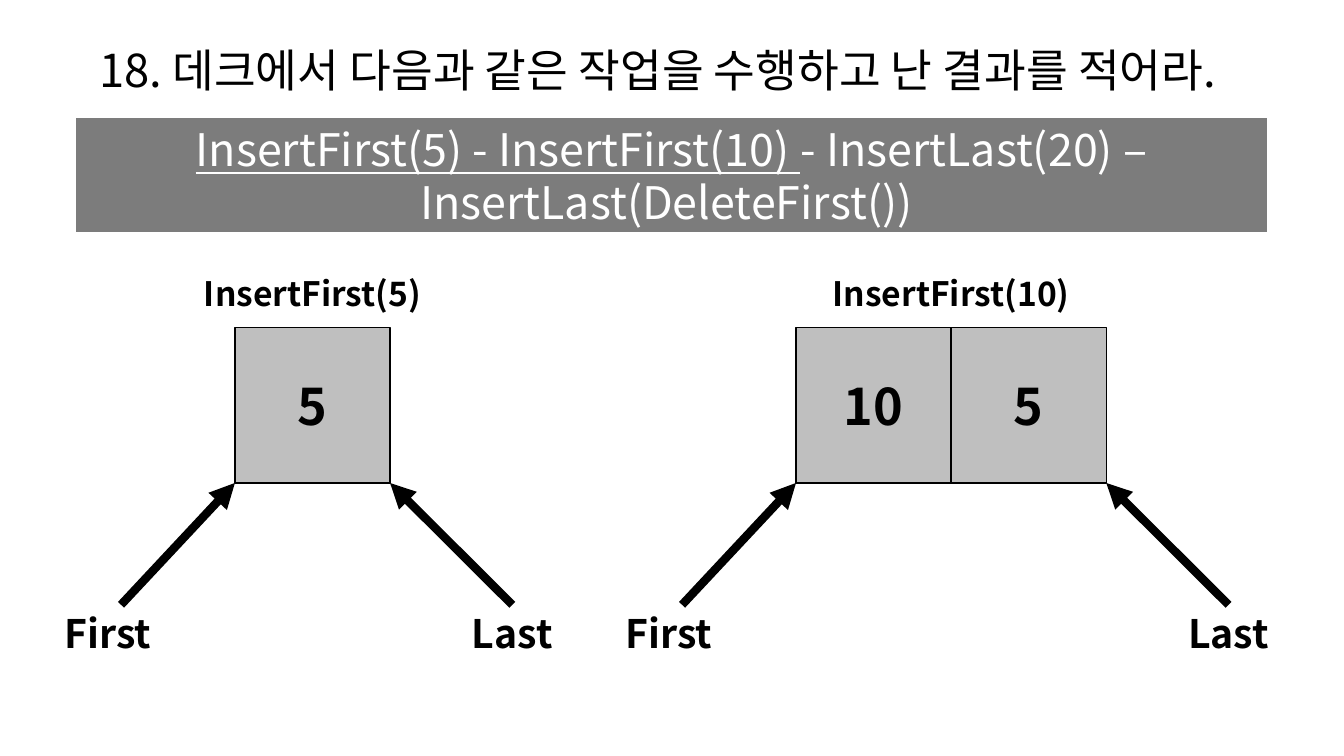
from dataclasses import dataclass

from lxml import etree
from pptx import Presentation
from pptx.dml.color import RGBColor
from pptx.enum.shapes import MSO_CONNECTOR, MSO_SHAPE
from pptx.enum.text import MSO_ANCHOR, PP_ALIGN
from pptx.oxml.ns import qn
from pptx.util import Cm, Pt

CENTER = PP_ALIGN.CENTER
TOP, MIDDLE = MSO_ANCHOR.TOP, MSO_ANCHOR.MIDDLE
RECTANGLE = MSO_SHAPE.RECTANGLE
STRAIGHT = MSO_CONNECTOR.STRAIGHT

FONT = "Noto Sans CJK KR"
COLORS = {"ink": "000000", "paper": "FFFFFF", "banner": "7C7C7C", "cell": "BFBFBF"}

# Shared measures in centimetres
CELL_SIZE = 3.91
CELL_TOP = 8.26
CELL_BOTTOM = CELL_TOP + CELL_SIZE
POINTER_TOP = 15.24
POINTER_WIDTH = 4.98
CAPTION_WIDTH = 9.04


@dataclass
class Deque:
    caption: str
    left: float
    values: list[str]


@dataclass
class Pointer:
    name: str
    at_end: bool
    tail_offset: float
    label_offset: float


DEQUES = [
    Deque("InsertFirst(5)", 5.92, ["5"]),
    Deque("InsertFirst(10)", 20.06, ["10", "5"]),
]
POINTERS = [
    Pointer("First", False, -2.87, -3.2),
    Pointer("Last", True, 3.08, 3.08),
]


def color(name: str) -> RGBColor:
    return RGBColor.from_string(COLORS[name])


def format_run(run, size: float, ink: str, bold: bool = False) -> None:
    font = run.font
    font.size = Pt(size)
    font.bold = bold
    font.color.rgb = color(ink)
    font.name = FONT
    east_asian = etree.SubElement(run._r.get_or_add_rPr(), qn("a:ea"))
    east_asian.set("typeface", FONT)


def write(shape, text: str, size: float, ink: str = "ink",
          bold: bool = False, anchor=MIDDLE):
    text_frame = shape.text_frame
    text_frame.text = text
    text_frame.word_wrap = True
    text_frame.vertical_anchor = anchor
    paragraph = text_frame.paragraphs[0]
    paragraph.alignment = CENTER
    format_run(paragraph.runs[0], size, ink, bold)
    return paragraph


def add_text(slide, left: float, top: float, width: float, height: float,
             text: str, size: float, bold: bool = True, anchor=TOP):
    box = slide.shapes.add_textbox(Cm(left), Cm(top), Cm(width), Cm(height))
    return write(box, text, size, bold=bold, anchor=anchor)


def add_rectangle(slide, left: float, top: float, width: float, height: float,
                  fill: str, line: str):
    shape = slide.shapes.add_shape(RECTANGLE, Cm(left), Cm(top), Cm(width), Cm(height))
    shape.shadow.inherit = False
    shape.fill.solid()
    shape.fill.fore_color.rgb = color(fill)
    shape.line.color.rgb = color(line)
    shape.line.width = Pt(1)
    return shape


def add_arrow(slide, start_x: float, start_y: float, end_x: float, end_y: float) -> None:
    connector = slide.shapes.add_connector(
        STRAIGHT, Cm(start_x), Cm(start_y), Cm(end_x), Cm(end_y))
    connector.line.color.rgb = color("ink")
    connector.line.width = Pt(6)
    head = etree.SubElement(connector.line._get_or_add_ln(), qn("a:tailEnd"))
    head.set("type", "triangle")
    etree.SubElement(connector._element.spPr, qn("a:effectLst"))


def draw_deque(slide, deque: Deque) -> None:
    width = CELL_SIZE * len(deque.values)
    center = deque.left + width / 2
    add_text(slide, center - CAPTION_WIDTH / 2, 6.76, CAPTION_WIDTH, 1.27,
             deque.caption, 24)

    for index, value in enumerate(deque.values):
        cell = add_rectangle(slide, deque.left + index * CELL_SIZE, CELL_TOP,
                             CELL_SIZE, CELL_SIZE, "cell", "ink")
        write(cell, value, 36, bold=True)

    for pointer in POINTERS:
        corner = deque.left + (width if pointer.at_end else 0)
        add_arrow(slide, corner + pointer.tail_offset, POINTER_TOP, corner, CELL_BOTTOM)
        add_text(slide, corner + pointer.label_offset - POINTER_WIDTH / 2, POINTER_TOP,
                 POINTER_WIDTH, 1.45, pointer.name, 28)


def main() -> None:
    presentation = Presentation()
    presentation.slide_width = Cm(33.87)
    presentation.slide_height = Cm(19.05)
    slide = presentation.slides.add_slide(presentation.slide_layouts[6])

    # Question
    title = add_text(slide, 1.55, 1.12, 30.05, 1.42,
                     "18. 데크에서 다음과 같은 작업을 수행하고 난 결과를 적어라.",
                     32.4, bold=False, anchor=MIDDLE)
    title.line_spacing = 0.9

    # Operations, with the steps shown below underlined
    banner = add_rectangle(slide, 1.9, 2.95, 30.05, 2.92, "banner", "paper")
    operations = write(banner, "InsertFirst(5) - InsertFirst(10) ", 32, "paper")
    operations.runs[0].font.underline = True
    remaining = operations.add_run()
    remaining.text = "- InsertLast(20) – InsertLast(DeleteFirst()) "
    format_run(remaining, 32, "paper")

    # Deque after each underlined step
    for deque in DEQUES:
        draw_deque(slide, deque)

    presentation.save("out.pptx")


if __name__ == "__main__":
    main()
